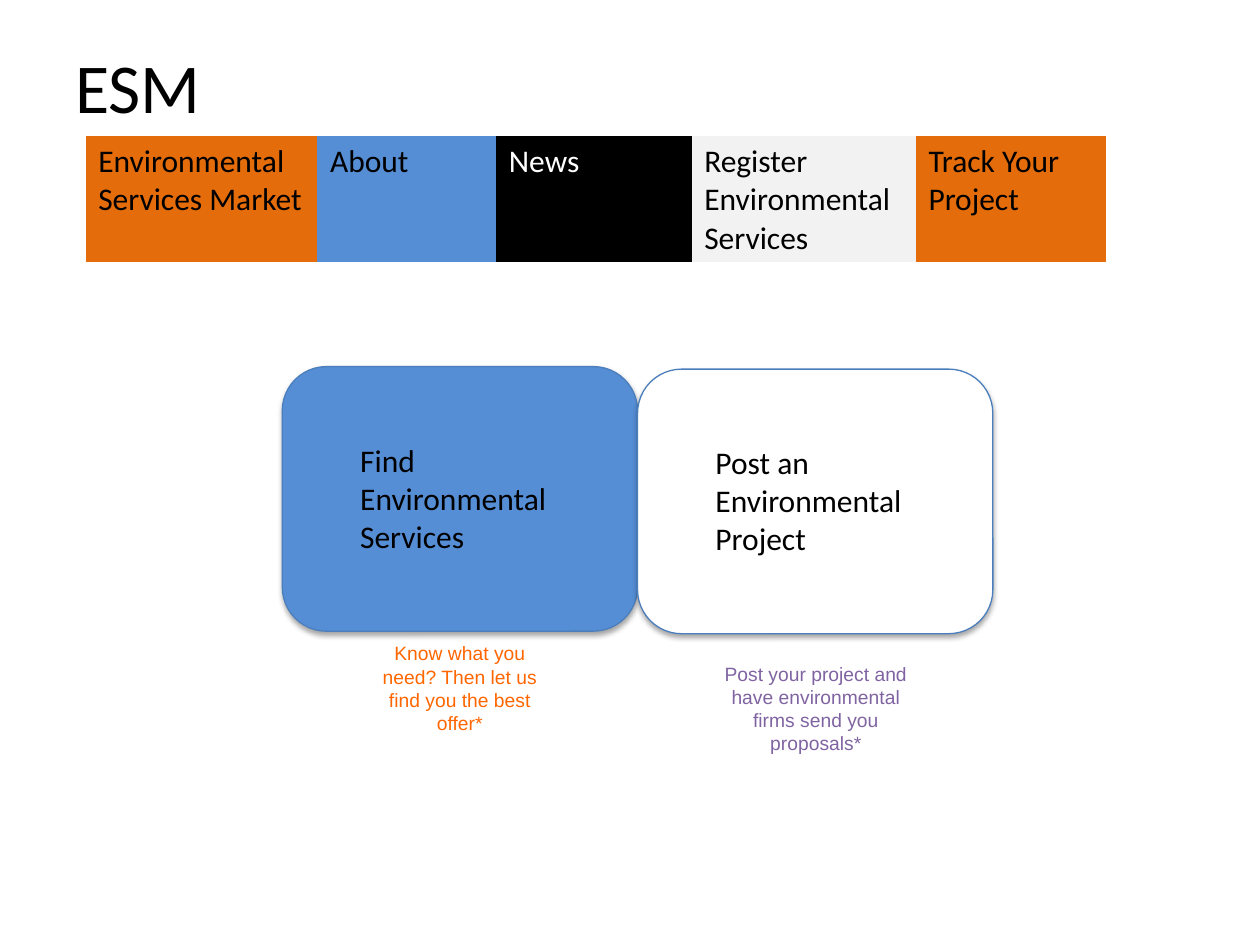
from dataclasses import dataclass

from lxml import etree
from pptx import Presentation
from pptx.dml.color import RGBColor
from pptx.enum.shapes import MSO_SHAPE
from pptx.enum.text import MSO_ANCHOR, PP_ALIGN
from pptx.oxml.ns import qn
from pptx.util import Inches, Pt

ROUNDED = MSO_SHAPE.ROUNDED_RECTANGLE
TOP, MIDDLE = MSO_ANCHOR.TOP, MSO_ANCHOR.MIDDLE
LEFT, CENTER = PP_ALIGN.LEFT, PP_ALIGN.CENTER

BLACK = RGBColor(0x00, 0x00, 0x00)
WHITE = RGBColor(0xFF, 0xFF, 0xFF)
ORANGE = RGBColor(0xE4, 0x6C, 0x0A)
BLUE = RGBColor(0x55, 0x8E, 0xD5)
GRAY = RGBColor(0xF2, 0xF2, 0xF2)
OUTLINE = RGBColor(0x4B, 0x7E, 0xBC)
PURPLE = RGBColor(0x80, 0x64, 0xA2)
BRIGHT_ORANGE = RGBColor(0xFF, 0x66, 0x00)


@dataclass
class MenuItem:
    text: str
    width: float
    fill: RGBColor
    color: RGBColor = BLACK


@dataclass
class Card:
    text: str
    left: float
    top: float
    fill: RGBColor


@dataclass
class Caption:
    text: str
    left: float
    top: float
    width: float
    height: float
    color: RGBColor


MENU = [
    MenuItem("Environmental Services Market", 1.84, ORANGE),
    MenuItem("About", 1.42, BLUE),
    MenuItem("News", 1.55, BLACK, WHITE),
    MenuItem("Register Environmental Services", 1.78, GRAY),
    MenuItem("Track Your Project", 1.51, ORANGE),
]
CARD_WIDTH, CARD_HEIGHT = 2.82, 2.1
CARDS = [
    Card("Find Environmental Services", 2.24, 2.91, BLUE),
    Card("Post an Environmental Project", 2.24 + CARD_WIDTH, 2.93, WHITE),
]
CAPTIONS = [
    Caption("Post your project and have environmental firms send you proposals*",
            5.58, 5.18, 1.79, 0.88, PURPLE),
    Caption("Know what you need? Then let us find you the best offer*",
            2.85, 5.13, 1.6, 0.66, BRIGHT_ORANGE),
]


def write(frame, text: str, size: float, color: RGBColor = BLACK,
          font: str = "Calibri", align=LEFT) -> None:
    para = frame.paragraphs[0]
    para.alignment = align
    span = para.add_run()
    span.text = text
    span.font.size = Pt(size)
    span.font.name = font
    span.font.color.rgb = color


def add_text(page, left: float, top: float, width: float, height: float,
             text: str, size: float, anchor=TOP, **style) -> None:
    box = page.shapes.add_textbox(Inches(left), Inches(top), Inches(width), Inches(height))
    box.text_frame.word_wrap = True
    box.text_frame.vertical_anchor = anchor
    write(box.text_frame, text, size, **style)


def add_shadow(shape) -> None:
    shape.shadow.inherit = False
    effects = shape._element.spPr.find(qn("a:effectLst"))
    shadow = etree.SubElement(effects, qn("a:outerShdw"), blurRad=str(Pt(3.1)),
                              dist=str(Pt(1.8)), dir="5400000", rotWithShape="0")
    color = etree.SubElement(shadow, qn("a:srgbClr"), val=str(BLACK))
    etree.SubElement(color, qn("a:alpha"), val="35000")


def add_card(page, card: Card) -> None:
    shape = page.shapes.add_shape(ROUNDED, Inches(card.left), Inches(card.top),
                                  Inches(CARD_WIDTH), Inches(CARD_HEIGHT))
    shape.fill.solid()
    shape.fill.fore_color.rgb = card.fill
    shape.line.color.rgb = OUTLINE
    shape.line.width = Pt(0.75)
    add_shadow(shape)


def add_menu(page, items: list[MenuItem]) -> None:
    total = sum(item.width for item in items)
    table = page.shapes.add_table(1, len(items), Inches(0.68), Inches(1.08),
                                  Inches(total), Inches(1)).table
    table.first_row = table.horz_banding = False
    for index, item in enumerate(items):
        table.columns[index].width = Inches(item.width)
        cell = table.cell(0, index)
        cell.fill.solid()
        cell.fill.fore_color.rgb = item.fill
        write(cell.text_frame, item.text, 18, item.color)
    # Remove the style's cell borders
    style = table._tbl.tblPr.find(qn("a:tableStyleId"))
    style.text = "{2D5ABB26-0587-4C30-8999-92F81FD0307C}"


deck = Presentation()
deck.slide_width, deck.slide_height = Inches(10), Inches(7.5)
page = deck.slides.add_slide(deck.slide_layouts[6])

# Title
add_text(page, 0.5, 0.3, 9, 0.78, "ESM", 40)

# Cards and their labels
for card in CARDS:
    add_card(page, card)
for card in CARDS:
    add_text(page, card.left + 0.52, card.top + 0.54, 1.78, 1.01, card.text, 18)

# Captions below the cards
for caption in CAPTIONS:
    add_text(page, caption.left, caption.top, caption.width, caption.height, caption.text,
             11, MIDDLE, color=caption.color, font="Arial", align=CENTER)

# Menu bar
add_menu(page, MENU)

deck.save("out.pptx")
